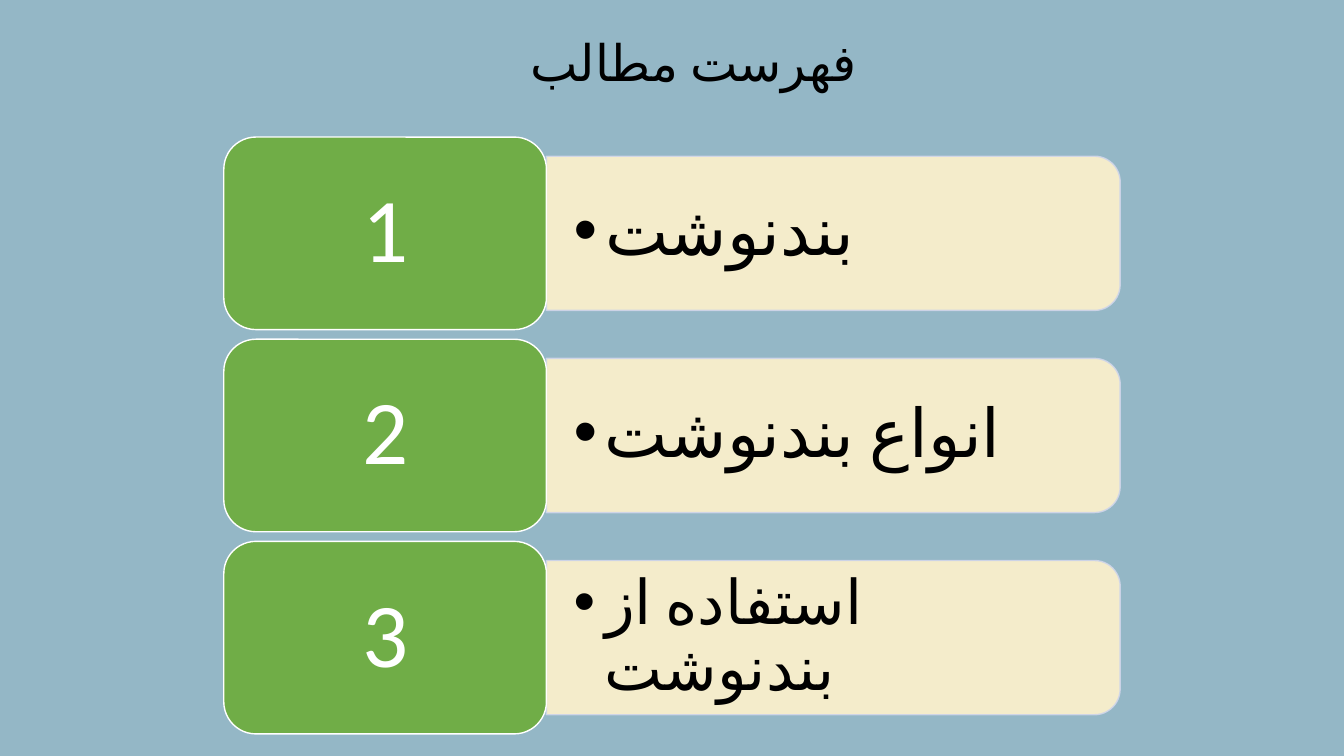
"""Build a table-of-contents slide with three numbered cards."""
from dataclasses import dataclass

from lxml import etree
from pptx import Presentation, oxml, util as u
from pptx.dml.color import RGBColor
from pptx.enum import lang, shapes, text
from pptx.oxml.ns import qn

BACKGROUND = RGBColor(0x94, 0xB7, 0xC6)
GREEN = RGBColor(0x70, 0xAD, 0x47)
CREAM = RGBColor(0xFF, 0xF2, 0xCC)
CARD_EDGE = RGBColor(0xCF, 0xD5, 0xEA)
WHITE = RGBColor(0xFF, 0xFF, 0xFF)
BLACK = RGBColor(0x00, 0x00, 0x00)
FONT = "Calibri"

TILE_LEFT, TILE_TOP = u.Inches(2.22), u.Inches(1.36)
TILE_WIDTH, TILE_HEIGHT = u.Inches(3.2), u.Inches(1.91)
ROW_PITCH = int(TILE_HEIGHT * 1.05)
CARD_LEFT = TILE_LEFT + TILE_WIDTH
CARD_WIDTH, CARD_HEIGHT = u.Inches(5.69), u.Inches(1.53)
BODY_WIDTH, BODY_HEIGHT = u.Inches(5.61), u.Inches(1.38)
INDENT = u.Inches(0.31)


@dataclass(frozen=True)
class Topic:
    """A numbered entry, its placeholder and its text size."""
    number: int
    label: str
    placeholder: int
    size: int


TOPICS = (
    Topic(1, "بندنوشت", 1, 48),
    Topic(2, "انواع بندنوشت", 2, 48),
    Topic(3, "استفاده از بندنوشت", 3, 44),
)


def place(shape, left: int, top: int, width: int, height: int) -> None:
    """Move and resize a shape."""
    shape.left, shape.top, shape.width, shape.height = left, top, width, height


def paint(shape, fill: RGBColor, edge: RGBColor) -> None:
    """Give a shape a plain fill and a thin outline."""
    shape.shadow.inherit = False
    shape.fill.solid()
    shape.fill.fore_color.rgb = fill
    shape.line.color.rgb = edge
    shape.line.width = u.Pt(1)


def set_opacity(shape, percent: int) -> None:
    """Make the fill and outline of a shape partly transparent."""
    for color in shape.element.spPr.iter(qn("a:srgbClr")):
        etree.SubElement(color, qn("a:alpha"), val=str(percent * 1000))


def set_bullet(para) -> None:
    """Give a paragraph a round bullet and a hanging indent."""
    props = para._p.get_or_add_pPr()
    props.set("marL", str(INDENT))
    props.set("indent", str(-INDENT))
    font = oxml.parse_xml(
        '<a:buFont xmlns:a="http://schemas.openxmlformats.org/drawingml/2006/main"'
        ' typeface="Arial"/>')
    props.append(font)
    etree.SubElement(props, qn("a:buChar"), char="•")


def write(shape, words: str, size: int, color: RGBColor,
          align: text.PP_ALIGN, anchor: text.MSO_ANCHOR):
    """Fill a shape with one formatted paragraph and return it."""
    frame = shape.text_frame
    frame.word_wrap = True
    frame.auto_size = text.MSO_AUTO_SIZE.NONE
    frame.vertical_anchor = anchor
    para = frame.paragraphs[0]
    para.text = words
    para.alignment = align
    para.space_before = u.Pt(0)
    para.font.name = FONT
    para.font.size = u.Pt(size)
    para.font.bold = False
    para.font.color.rgb = color
    para.font.language_id = lang.MSO_LANGUAGE_ID.FARSI
    defaults = para._p.pPr.find(qn("a:defRPr"))
    etree.SubElement(defaults, qn("a:cs"), typeface=FONT)
    return para


def draw_topic(page, row: int, topic: Topic) -> None:
    """Draw one card with its bulleted label and numbered tile."""
    top = TILE_TOP + row * ROW_PITCH
    middle = top + TILE_HEIGHT // 2

    card = page.shapes.add_shape(
        shapes.MSO_SHAPE.ROUND_2_SAME_RECTANGLE,
        CARD_LEFT + (CARD_WIDTH - CARD_HEIGHT) // 2, middle - CARD_WIDTH // 2,
        CARD_HEIGHT, CARD_WIDTH)
    card.rotation = 90
    paint(card, CREAM, CARD_EDGE)
    set_opacity(card, 90)

    body = page.placeholders[topic.placeholder]
    place(body, CARD_LEFT, middle - BODY_HEIGHT // 2, BODY_WIDTH, BODY_HEIGHT)
    frame = body.text_frame
    frame.margin_left = frame.margin_right = u.Inches(0.27)
    frame.margin_top = frame.margin_bottom = u.Inches(0.14)
    para = frame.paragraphs[0]
    para.level = 1
    para.line_spacing = 0.9
    set_bullet(para)
    write(body, topic.label, topic.size, BLACK,
          text.PP_ALIGN.LEFT, text.MSO_ANCHOR.MIDDLE)
    card.element.addnext(body.element)

    tile = page.shapes.add_shape(
        shapes.MSO_SHAPE.ROUNDED_RECTANGLE,
        TILE_LEFT, top, TILE_WIDTH, TILE_HEIGHT)
    paint(tile, GREEN, WHITE)
    number = write(tile, str(topic.number), 65, WHITE,
                   text.PP_ALIGN.CENTER, text.MSO_ANCHOR.MIDDLE)
    number.line_spacing = 0.9


def main() -> None:
    """Create the deck and save it."""
    deck = Presentation()
    deck.slide_width, deck.slide_height = u.Inches(13.33), u.Inches(7.5)
    page = deck.slides.add_slide(deck.slide_layouts.get_by_name("Comparison"))
    page.background.fill.solid()
    page.background.fill.fore_color.rgb = BACKGROUND

    for row, topic in enumerate(TOPICS):
        draw_topic(page, row, topic)

    title = page.shapes.title
    place(title, u.Inches(4.73), u.Inches(0.26), u.Inches(4.3), u.Inches(0.71))
    write(title, "فهرست مطالب", 36, BLACK,
          text.PP_ALIGN.CENTER, text.MSO_ANCHOR.TOP)

    for box in list(page.placeholders):
        if not box.text_frame.text:
            box.element.getparent().remove(box.element)
    deck.save("out.pptx")


if __name__ == "__main__":
    main()
